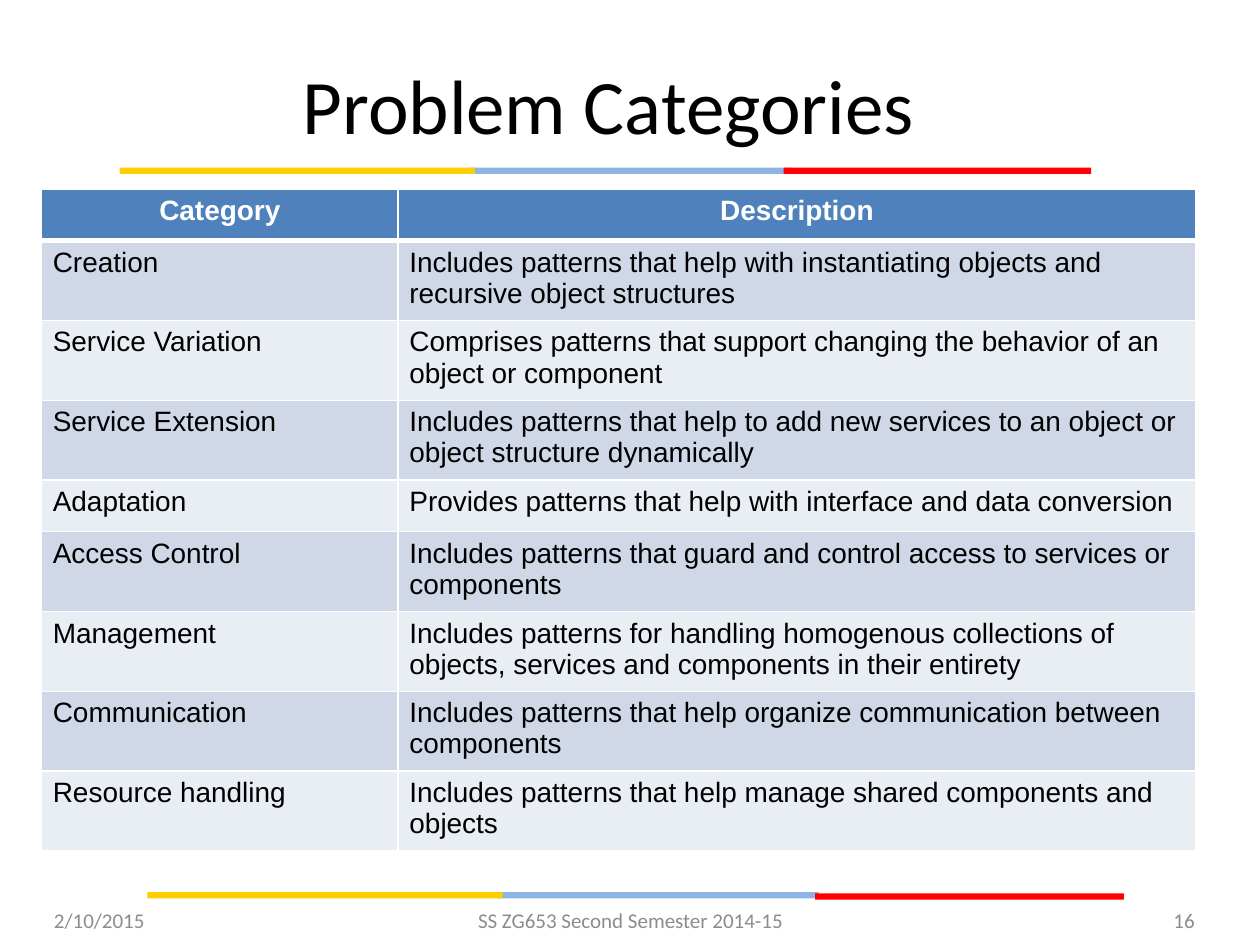
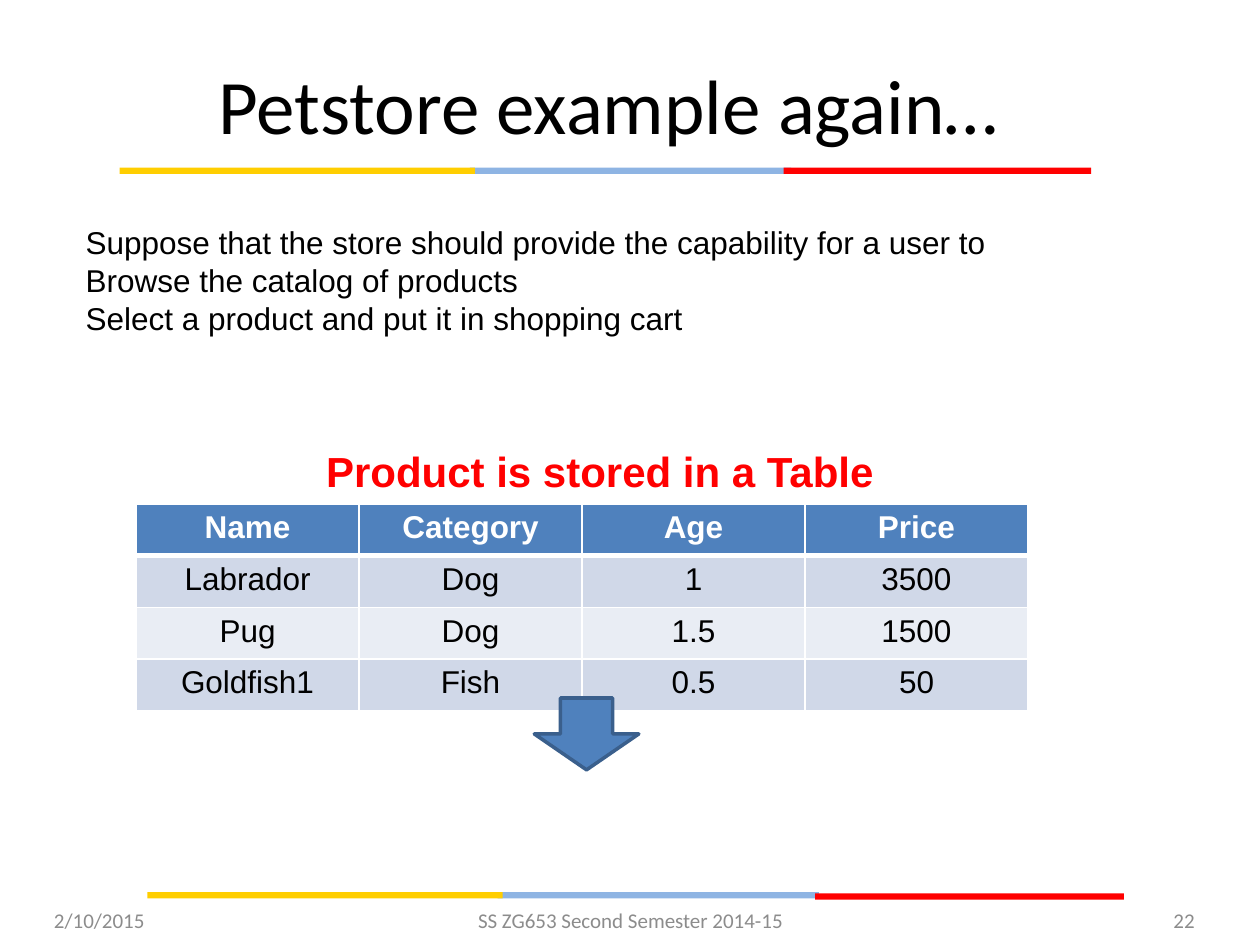
from lxml.etree import SubElement
from pptx import Presentation
from pptx.dml.color import RGBColor
from pptx.enum.shapes import MSO_SHAPE as Shape
from pptx.enum.text import MSO_ANCHOR as Anchor, MSO_AUTO_SIZE as AutoSize, PP_ALIGN as Align
from pptx.oxml.ns import qn
from pptx.util import Inches, Pt

# Content
CATEGORIES = [
    ("Category", "Description"),
    ("Creation", "Includes patterns that help with instantiating objects and recursive object structures"),
    ("Service Variation", "Comprises patterns that support changing the behavior of an object or component"),
    ("Service Extension", "Includes patterns that help to add new services to an object or object structure dynamically"),
    ("Adaptation", "Provides patterns that help with interface and data conversion"),
    ("Access Control", "Includes patterns that guard and control access to services or components"),
    ("Management", "Includes patterns for handling homogenous collections of objects, services and components in their entirety"),
    ("Communication", "Includes patterns that help organize communication between components"),
    ("Resource handling", "Includes patterns that help manage shared components and objects"),
]
PRODUCTS = [
    ("Name", "Category", "Age", "Price"),
    ("Labrador", "Dog", "1", "3500"),
    ("Pug", "Dog", "1.5", "1500"),
    ("Goldfish1", "Fish", "0.5", "50"),
]
CAPABILITIES = [
    "Suppose that the store should provide the capability for a user to",
    "Browse the catalog of products",
    "Select a product and put it in shopping cart",
]
DATE = "2/10/2015"
COURSE = "SS ZG653 Second Semester 2014-15"

# Shared look
BLACK, WHITE, GRAY = "000000", "FFFFFF", "8C8C8C"
BLUE, BLUE_EDGE = "4F81BD", "3A5F8C"
LIGHT_BLUE, RED, YELLOW = "8EB4E3", "FF0000", "FFCE00"
ROW_FILLS = ("D0D8E8", "E9EDF4")
ROW_HEIGHT = 0.41
BAND_HEIGHT = 0.05
# left, top, width, colour
BANDS = [
    (3.73, 1.33, 2.55, LIGHT_BLUE), (6.22, 1.33, 2.44, RED), (0.95, 1.33, 2.82, YELLOW),
    (3.95, 7.08, 2.55, LIGHT_BLUE), (6.47, 7.09, 2.45, RED), (1.17, 7.08, 2.82, YELLOW),
]


def color(value):
    return RGBColor.from_string(value)


def write(frame, lines, size=18, font="Arial", ink=BLACK, bold=False,
          align=Align.LEFT, anchor=Anchor.TOP):
    """Fill a text frame with one paragraph for each line."""
    frame.word_wrap = True
    frame.vertical_anchor = anchor
    lines = [lines] if isinstance(lines, str) else lines
    for index, line in enumerate(lines):
        paragraph = frame.add_paragraph() if index else frame.paragraphs[0]
        paragraph.alignment = align
        paragraph.space_before = Pt(0)
        run = paragraph.add_run()
        run.text = line
        run.font.size, run.font.name, run.font.bold = Pt(size), font, bold
        run.font.color.rgb = color(ink)


def place(shape, left, top, width, height):
    shape.left, shape.top = Inches(left), Inches(top)
    shape.width, shape.height = Inches(width), Inches(height)


def add_text(slide, box, text, **style):
    textbox = slide.shapes.add_textbox(*map(Inches, box))
    write(textbox.text_frame, text, **style)


def add_shape(slide, kind, box, fill, edge=None):
    shape = slide.shapes.add_shape(kind, *map(Inches, box))
    shape.shadow.inherit = False
    shape.fill.solid()
    shape.fill.fore_color.rgb = color(fill)
    if edge:
        shape.line.color.rgb = color(edge)
        shape.line.width = Pt(2)
    else:
        shape.line.fill.background()
    return shape


def add_borders(cell, is_header, below_header):
    widths = {"a:lnL": 1, "a:lnR": 1, "a:lnT": 3 if below_header else 1, "a:lnB": 3 if is_header else 1}
    properties = cell._tc.get_or_add_tcPr()
    for tag, width in widths.items():
        line = SubElement(properties, qn(tag), w=str(Pt(width)))
        SubElement(SubElement(line, qn("a:solidFill")), qn("a:srgbClr"), val=WHITE)


def add_table(slide, rows, left, top, widths, size, body_align):
    box = (left, top, sum(widths), ROW_HEIGHT * len(rows))
    table = slide.shapes.add_table(len(rows), len(widths), *map(Inches, box)).table
    for column, width in zip(table.columns, widths):
        column.width = Inches(width)
    for row_index, row in enumerate(rows):
        table.rows[row_index].height = Inches(ROW_HEIGHT)
        is_header = row_index == 0
        for column_index, text in enumerate(row):
            cell = table.cell(row_index, column_index)
            cell.margin_left = cell.margin_right = Inches(0.09)
            add_borders(cell, is_header, row_index == 1)
            cell.fill.solid()
            cell.fill.fore_color.rgb = color(BLUE if is_header else ROW_FILLS[(row_index - 1) % 2])
            write(cell.text_frame, text, size=size, bold=is_header,
                  ink=WHITE if is_header else BLACK,
                  align=Align.CENTER if is_header else body_align)


def add_slide(presentation, layout_index, title, number):
    """Start a slide with its title, bands and footer."""
    slide = presentation.slides.add_slide(presentation.slide_layouts[layout_index])
    for left, top, width, fill in BANDS:
        add_shape(slide, Shape.RECTANGLE, (left, top, width, BAND_HEIGHT), fill)
    place(slide.shapes.title, 0.33, 0.31, 9, 1.03)
    write(slide.shapes.title.text_frame, title, size=44, font="Calibri",
          align=Align.CENTER, anchor=Anchor.MIDDLE)
    footers = [(0.33, 2.33, DATE, Align.LEFT), (3.42, 3.17, COURSE, Align.CENTER),
               (7.25, 2.33, number, Align.RIGHT)]
    for left, width, text, align in footers:
        add_text(slide, (left, 7.1, width, 0.4), text, size=12, font="Calibri",
                 ink=GRAY, align=align, anchor=Anchor.MIDDLE)
    return slide


def add_capabilities(slide):
    body = slide.placeholders[1]
    place(body, 0.58, 1.72, 8.25, 1.01)
    body.text_frame.auto_size = AutoSize.NONE
    write(body.text_frame, CAPABILITIES, align=Align.JUSTIFY)
    for paragraph in body.text_frame.paragraphs:
        properties = paragraph._p.get_or_add_pPr()
        properties.set("marL", "0")
        properties.set("indent", "0")
        SubElement(properties, qn("a:buNone"))


def main():
    presentation = Presentation()
    presentation.slide_width, presentation.slide_height = Inches(10), Inches(7.5)

    # Problem categories
    slide = add_slide(presentation, 5, "Problem Categories", "16")
    add_table(slide, CATEGORIES, 0.33, 1.5, [2.83, 6.33], 16, Align.LEFT)

    # Petstore example
    slide = add_slide(presentation, 1, "Petstore example again…", "22")
    add_capabilities(slide)
    add_table(slide, PRODUCTS, 1.08, 4, [1.77] * 4, 18, Align.CENTER)
    add_text(slide, (2.49, 3.49, 5.17, 0.5), "Product is stored in a Table",
             size=24, ink=RED, bold=True)
    arrow = add_shape(slide, Shape.RIGHT_ARROW, (4.37, 5.41, 0.57, 0.83), BLUE, BLUE_EDGE)
    arrow.rotation = 90

    presentation.save("out.pptx")


if __name__ == "__main__":
    main()
